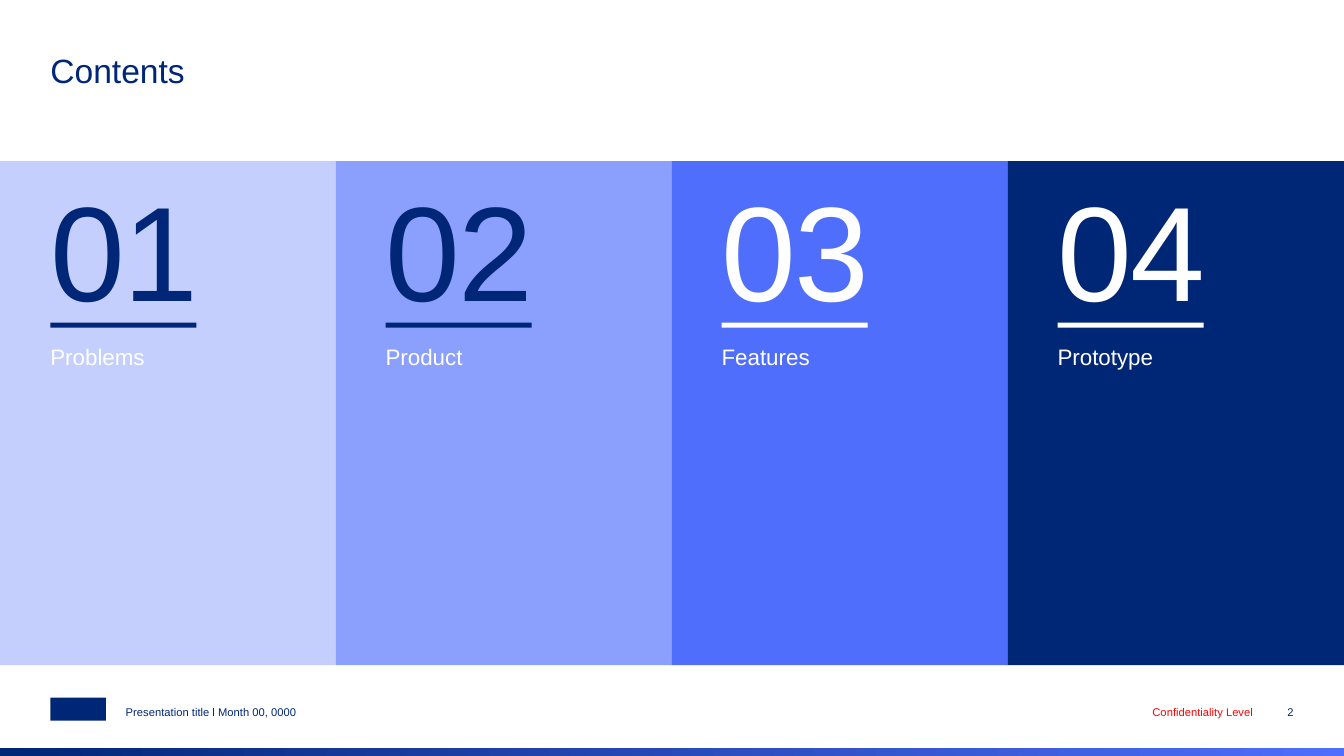
import dataclasses

import pptx
import pptx.dml.color
import pptx.enum.shapes
import pptx.enum.text
import pptx.util

Cm = pptx.util.Cm
ANCHOR = pptx.enum.text.MSO_ANCHOR
ALIGN = pptx.enum.text.PP_ALIGN

COLORS = {
    "navy": "002677",
    "deep": "002676",
    "blue": "4F6EFB",
    "sky": "8B9FFC",
    "pale": "C5CFFE",
    "white": "FFFFFF",
    "red": "FF0000",
}
PAGE_WIDTH, PAGE_HEIGHT = 33.87, 19.05
MARGIN = 1.27
COLUMN_TOP, COLUMN_HEIGHT = 4.06, 12.7
FOOTER_TOP, FOOTER_HEIGHT = 17.53, 0.58
STRIPE_HEIGHT = 0.2


@dataclasses.dataclass(frozen=True)
class Area:
    left: float
    top: float
    width: float
    height: float

    def lengths(self) -> tuple:
        return tuple(Cm(n) for n in dataclasses.astuple(self))


@dataclasses.dataclass(frozen=True)
class Label:
    text: str
    area: Area
    size: int
    color: str
    anchor: ANCHOR = ANCHOR.TOP
    align: ALIGN = ALIGN.LEFT
    line_spacing: float = 1.0
    tracking: int = 0  # hundredths of a point


@dataclasses.dataclass(frozen=True)
class Section:
    title: str
    fill: str
    accent: str


SECTIONS = [
    Section("Problems", "pale", "navy"),
    Section("Product", "sky", "navy"),
    Section("Features", "blue", "white"),
    Section("Prototype", "deep", "white"),
]


def rgb(name: str) -> pptx.dml.color.RGBColor:
    return pptx.dml.color.RGBColor.from_string(COLORS[name])


def set_all(target: object, values: dict) -> None:
    for name, value in values.items():
        setattr(target, name, value)


def add_block(page: pptx.slide.Slide, area: Area, *colors: str) -> None:
    """Draw a rectangle: one colour is solid, two run from left to right."""
    block = page.shapes.add_shape(
        pptx.enum.shapes.MSO_SHAPE.RECTANGLE, *area.lengths())
    block.shadow.inherit = False
    block.line.fill.background()
    if len(colors) == 1:
        block.fill.solid()
        block.fill.fore_color.rgb = rgb(colors[0])
    else:
        block.fill.gradient()
        block.fill.gradient_angle = 0
        for stop, color in zip(block.fill.gradient_stops, colors):
            stop.color.rgb = rgb(color)


def add_label(page: pptx.slide.Slide, label: Label) -> None:
    frame = page.shapes.add_textbox(*label.area.lengths()).text_frame
    set_all(frame, {
        "word_wrap": True,
        "vertical_anchor": label.anchor,
        "margin_left": 0,
        "margin_top": 0,
        "margin_right": 0,
        "margin_bottom": 0,
    })
    para = frame.paragraphs[0]
    set_all(para, {"alignment": label.align, "line_spacing": label.line_spacing})
    span = para.add_run()
    span.text = label.text
    set_all(span.font, {"name": "Arial", "size": pptx.util.Pt(label.size)})
    span.font.color.rgb = rgb(label.color)
    if label.tracking:
        span.font._element.set("spc", str(label.tracking))


def add_section(page: pptx.slide.Slide, index: int, section: Section) -> None:
    pitch = PAGE_WIDTH / len(SECTIONS)
    left = index * pitch
    inner = left + MARGIN - (0.02 if index else 0)
    add_block(page, Area(left, COLUMN_TOP, pitch, COLUMN_HEIGHT), section.fill)
    add_label(page, Label(
        f"{index + 1:02}", Area(inner, 4.32, 5.92, 3.94), 96, section.accent,
        anchor=ANCHOR.BOTTOM, line_spacing=0.8, tracking=-100))
    add_block(page, Area(inner, 8.13, 3.68, 0.13), section.accent)
    add_label(page, Label(
        section.title, Area(inner, 8.64, 5.97, 1.52), 16, "white"))


def add_footer(page: pptx.slide.Slide) -> None:
    add_block(page, Area(0, PAGE_HEIGHT - STRIPE_HEIGHT, PAGE_WIDTH, STRIPE_HEIGHT),
              "deep", "blue")
    add_block(page, Area(MARGIN, 17.58, 1.4, 0.58), "deep")
    for text, left, width, color, align in [
        ("Presentation title l Month 00, 0000", 3.17, 13.31, "navy", ALIGN.LEFT),
        ("Confidentiality Level", 25.43, 6.15, "red", ALIGN.RIGHT),
        ("2", 31.59, 1.01, "navy", ALIGN.RIGHT),
    ]:
        area = Area(left, FOOTER_TOP, width, FOOTER_HEIGHT)
        add_label(page, Label(text, area, 8, color, ANCHOR.BOTTOM, align))


def main() -> None:
    deck = pptx.Presentation()
    set_all(deck, {"slide_width": Cm(PAGE_WIDTH), "slide_height": Cm(PAGE_HEIGHT)})
    page = deck.slides.add_slide(deck.slide_layouts[6])
    add_label(page, Label("Contents", Area(MARGIN, 1.27, 23.27, 2.03), 24, "navy"))
    for index, section in enumerate(SECTIONS):
        add_section(page, index, section)
    add_footer(page)
    deck.save("out.pptx")


if __name__ == "__main__":
    main()
